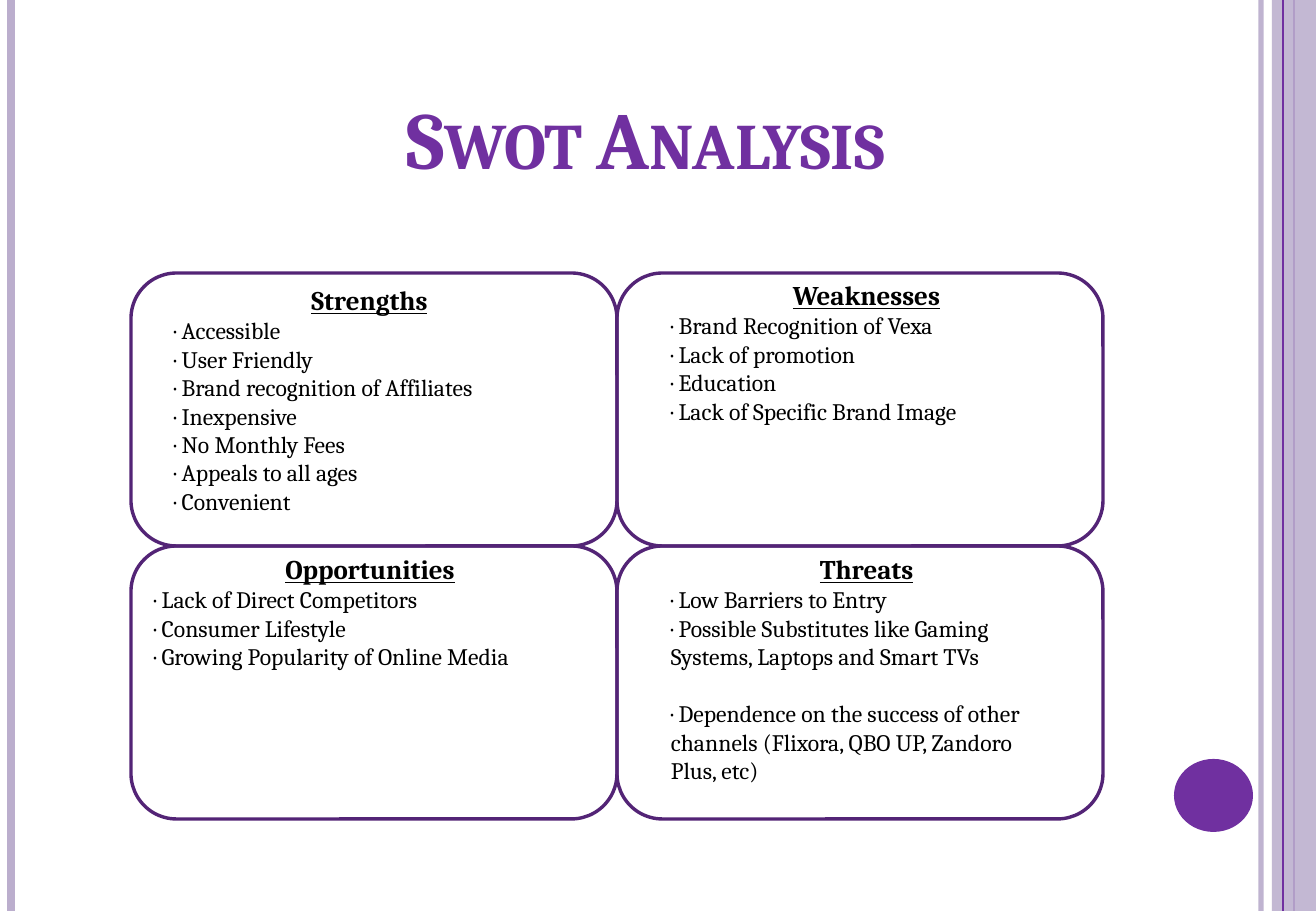
from lxml.etree import SubElement
from pptx import Presentation
from pptx.dml.color import RGBColor
from pptx.enum.shapes import MSO_CONNECTOR, MSO_SHAPE
from pptx.enum.text import MSO_ANCHOR, PP_ALIGN
from pptx.oxml.ns import qn
from pptx.util import Pt

PURPLE = RGBColor(0x70, 0x30, 0xA0)
DEEP_PURPLE = RGBColor(0x53, 0x24, 0x76)
LAVENDER = RGBColor(0xBB, 0xAE, 0xCD)
BLACK = RGBColor(0, 0, 0)

PAGE_WIDTH, PAGE_HEIGHT = 1316, 911
GRID_LEFT, GRID_TOP = 131, 273
CELL_WIDTH, CELL_HEIGHT = 486, 273

QUADRANTS = [
    ("Strengths", (162, 278, 415, 245), [
        "Accessible", "User Friendly", "Brand recognition of Affiliates",
        "Inexpensive", "No Monthly Fees", "Appeals to all ages", "Convenient"], 0),
    ("Weaknesses", (659, 273, 415, 159), [
        "Brand Recognition of Vexa", "Lack of promotion", "Education",
        "Lack of Specific Brand Image"], 0),
    ("Opportunities", (142, 547, 456, 131), [
        "Lack of Direct Competitors", "Consumer Lifestyle",
        "Growing Popularity of Online Media"], 0),
    ("Threats", (659, 547, 415, 216), [
        "Low Barriers to Entry",
        "Possible Substitutes like Gaming Systems, Laptops and Smart TVs",
        "Dependence on the success of other channels "
        "(Flixora, QBO UP, Zandoro Plus, etc)"], 17),
]


class SlideBuilder:
    font_name = "Cambria"
    scale = 914400 / 121.5

    def __init__(self, deck):
        deck.slide_width, deck.slide_height = self.emu(PAGE_WIDTH, PAGE_HEIGHT)
        self.page = deck.slides.add_slide(deck.slide_layouts[6])

    def emu(self, *lengths):
        return [round(length * self.scale) for length in lengths]

    def set_opacity(self, fill, percent):
        color = fill._xPr.find(qn("a:solidFill"))[0]
        SubElement(color, qn("a:alpha"), val=str(percent * 1000))

    def stripe(self, x, color, width, opacity=100):
        line = self.page.shapes.add_connector(
            MSO_CONNECTOR.STRAIGHT, *self.emu(x, 0, x, PAGE_HEIGHT))
        line.line.color.rgb = color
        line.line.width = Pt(width)
        if opacity < 100:
            self.set_opacity(line.line.fill, opacity)
        SubElement(line._element.spPr, qn("a:effectLst"))

    def shape(self, kind, frame, fill=None, outline=None, opacity=100):
        shape = self.page.shapes.add_shape(kind, *self.emu(*frame))
        shape.shadow.inherit = False
        if fill is None:
            shape.fill.background()
        else:
            shape.fill.solid()
            shape.fill.fore_color.rgb = fill
            if opacity < 100:
                self.set_opacity(shape.fill, opacity)
        if outline is None:
            shape.line.fill.background()
        else:
            shape.line.color.rgb = outline
            shape.line.width = Pt(2)

    def text_box(self, frame, anchor=MSO_ANCHOR.TOP):
        box = self.page.shapes.add_textbox(*self.emu(*frame))
        box.text_frame.word_wrap = True
        box.text_frame.vertical_anchor = anchor
        return box.text_frame

    def style(self, para, size, color=BLACK, bold=False, underline=False):
        para.font.name = self.font_name
        para.font.size = Pt(size)
        para.font.color.rgb = color
        para.font.bold = bold
        para.font.underline = underline

    def title(self, text, frame):
        para = self.text_box(frame, MSO_ANCHOR.BOTTOM).paragraphs[0]
        para.alignment = PP_ALIGN.CENTER
        span = para.add_run()
        span.text = text
        span._r.get_or_add_rPr().set("cap", "small")
        self.style(para, 48, PURPLE, bold=True)

    def quadrant(self, heading, frame, items, last_gap):
        text_frame = self.text_box(frame)
        para = text_frame.paragraphs[0]
        para.text = heading
        para.alignment = PP_ALIGN.CENTER
        self.style(para, 16, bold=True, underline=True)
        for item in items:
            para = text_frame.add_paragraph()
            para.text = f"· {item}"
            self.style(para, 14)
        para.space_before = Pt(last_gap)


def main():
    deck = Presentation()
    slide = SlideBuilder(deck)

    slide.stripe(1261, LAVENDER, 3, opacity=93)
    slide.stripe(11, LAVENDER, 4.5)
    slide.stripe(1294, PURPLE, 1.5)
    slide.shape(MSO_SHAPE.RECTANGLE, (1272, 0, 44, PAGE_HEIGHT), LAVENDER, opacity=87)
    slide.stripe(1283, PURPLE, 0.75)
    slide.shape(MSO_SHAPE.OVAL, (1174, 759, 79, 73), PURPLE)

    slide.title("Swot Analysis", (61, 40, 1169, 152))
    for index in range(len(QUADRANTS)):
        row, column = divmod(index, 2)
        frame = (GRID_LEFT + column * CELL_WIDTH, GRID_TOP + row * CELL_HEIGHT,
                 CELL_WIDTH, CELL_HEIGHT)
        slide.shape(MSO_SHAPE.ROUNDED_RECTANGLE, frame, outline=DEEP_PURPLE)
    for heading, frame, items, last_gap in QUADRANTS:
        slide.quadrant(heading, frame, items, last_gap)

    deck.save("out.pptx")


if __name__ == "__main__":
    main()
